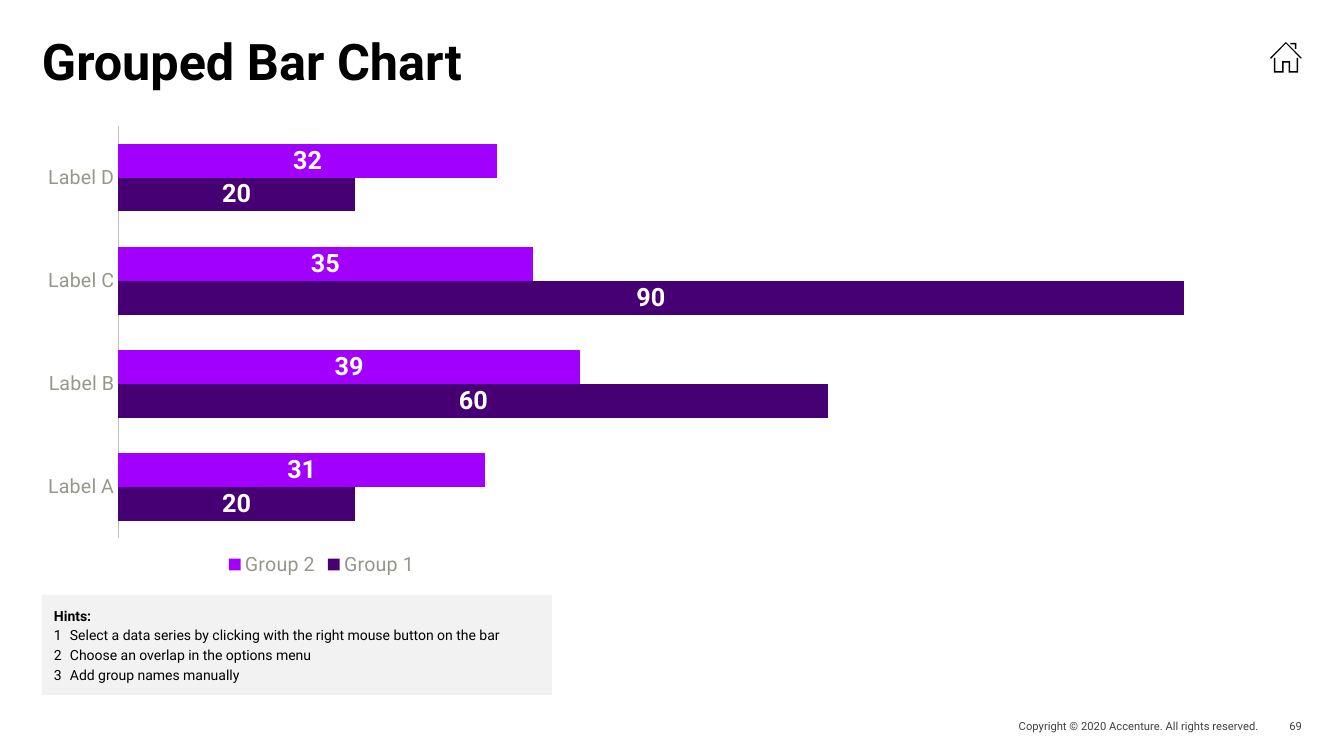
from lxml import etree
from pptx import Presentation
from pptx.chart.data import CategoryChartData
from pptx.dml.color import RGBColor
from pptx.enum.chart import XL_CHART_TYPE, XL_LABEL_POSITION, XL_LEGEND_POSITION, XL_TICK_MARK
from pptx.enum.shapes import MSO_SHAPE
from pptx.enum.text import MSO_ANCHOR, PP_ALIGN
from pptx.oxml.ns import qn
from pptx.util import Pt

BAR_CLUSTERED = XL_CHART_TYPE.BAR_CLUSTERED
LABEL_CENTER = XL_LABEL_POSITION.CENTER
LEGEND_BOTTOM = XL_LEGEND_POSITION.BOTTOM
NO_TICK = XL_TICK_MARK.NONE
RECTANGLE = MSO_SHAPE.RECTANGLE
TOP, MIDDLE, BOTTOM = MSO_ANCHOR.TOP, MSO_ANCHOR.MIDDLE, MSO_ANCHOR.BOTTOM
LEFT, RIGHT = PP_ALIGN.LEFT, PP_ALIGN.RIGHT

EMU_PER_PX = 12192000 / 1344
FONT = "Roboto"
COLORS = {
    "black": "000000",
    "white": "FFFFFF",
    "footer": "404040",
    "panel": "F2F2F2",
    "label": "96968C",
    "axis": "C0C0BA",
    "dark": "460073",
    "bright": "A100FF",
}
CATEGORIES = ["Label A", "Label B", "Label C", "Label D"]
GROUPS = [
    ("Group 1", [20, 60, 90, 20], "dark"),
    ("Group 2", [31, 39, 35, 32], "bright"),
]
HINTS = [
    "Select a data series by clicking with the right mouse button on the bar",
    "Choose an overlap in the options menu",
    "Add group names manually",
]
HOUSE_OUTLINES = [
    [(40, 160), (55, 160), (55, 292), (121, 292), (121, 192), (202, 192), (202, 292), (267, 292),
     (267, 160), (282, 160), (282, 307), (187, 307), (187, 207), (136, 207), (136, 307), (40, 307)],
    [(205, 10), (265, 10), (265, 70), (250, 70), (250, 25), (205, 25)],
    [(160, 0), (320, 160), (308, 167), (160, 15), (12, 167), (0, 160)],
]


def px(length):
    """Turn pixels into EMU."""
    return round(length * EMU_PER_PX)


def color(name):
    """Look up a named colour."""
    return RGBColor.from_string(COLORS[name])


def paint(shape, name):
    """Give a shape a plain fill without line or shadow."""
    shape.shadow.inherit = False
    shape.fill.solid()
    shape.fill.fore_color.rgb = color(name)
    shape.line.fill.background()


def style_font(font, size, name, bold=False):
    """Set the typeface, size, colour and weight of a font."""
    font.name = FONT
    font.size = Pt(size)
    font.bold = bold
    font.color.rgb = color(name)


def hang(para, indent, tab):
    """Give a paragraph a hanging indent and a left tab stop."""
    properties = para._p.get_or_add_pPr()
    properties.set("marL", str(px(indent)))
    properties.set("indent", str(-px(indent)))
    stops = etree.SubElement(properties, qn("a:tabLst"))
    etree.SubElement(stops, qn("a:tab"), pos=str(px(tab)), algn="l")


def write(box, text, *, size, name="black", bold_lines=0, align=LEFT, anchor=TOP,
          insets=(0, 0, 0, 0), line_spacing=None, gap=0, indent=0, tab=0):
    """Write lines of text into a shape with one format."""
    frame = box.text_frame
    frame.word_wrap = True
    frame.vertical_anchor = anchor
    frame.margin_left, frame.margin_top, frame.margin_right, frame.margin_bottom = map(px, insets)
    for index, line in enumerate(text.split("\n")):
        para = frame.add_paragraph() if index else frame.paragraphs[0]
        para.alignment = align
        para.line_spacing = line_spacing
        para.space_before = Pt(gap if index else 0)
        para.space_after = Pt(gap)
        if indent:
            hang(para, indent, tab)
        span = para.add_run()
        span.text = line
        style_font(span.font, size, name, index < bold_lines)


def add_text(page, text, left, top, width, height, **text_format):
    """Add a text box."""
    box = page.shapes.add_textbox(px(left), px(top), px(width), px(height))
    write(box, text, **text_format)


def add_panel(page, text, left, top, width, height, **text_format):
    """Add a filled panel with text."""
    panel = page.shapes.add_shape(RECTANGLE, px(left), px(top), px(width), px(height))
    paint(panel, "panel")
    write(panel, text, **text_format)


def add_house(page, left, top):
    """Draw the house icon from outlines in tenths of a pixel."""
    first, *others = HOUSE_OUTLINES
    builder = page.shapes.build_freeform(*first[0], scale=EMU_PER_PX / 10)
    builder.add_line_segments(first[1:], close=True)
    for outline in others:
        builder.move_to(*outline[0])
        builder.add_line_segments(outline[1:], close=True)
    paint(builder.convert_to_shape(px(left), px(top)), "black")


def place(element, **settings):
    """Give a chart part a manual layout."""
    for old in element.findall(qn("c:layout")):
        element.remove(old)
    layout = etree.Element(qn("c:layout"))
    manual = etree.SubElement(layout, qn("c:manualLayout"))
    for tag, value in settings.items():
        etree.SubElement(manual, qn(f"c:{tag}"), val=str(value))
    return layout


def add_bar_chart(page, left, top, width, height):
    """Add the grouped bar chart."""
    data = CategoryChartData(number_format="0")
    data.categories = CATEGORIES
    for group, values, _ in GROUPS:
        data.add_series(group, values)
    chart = page.shapes.add_chart(
        BAR_CLUSTERED, px(left), px(top), px(width), px(height), data).chart
    chart.has_title = False
    style_font(chart.font, 18, "black", True)

    plot = chart.plots[0]
    plot.gap_width = 106
    plot.overlap = 0
    plot.vary_by_categories = False
    for series, (_, _, name) in zip(plot.series, GROUPS):
        series.format.fill.solid()
        series.format.fill.fore_color.rgb = color(name)
        labels = series.data_labels
        labels.show_value = True
        labels.position = LABEL_CENTER
        labels.number_format = "0"
        labels.number_format_is_linked = False
        style_font(labels.font, 18, "white", True)

    chart.value_axis.minimum_scale = 0
    chart.value_axis.maximum_scale = 100
    chart.value_axis.has_major_gridlines = False
    chart.value_axis.visible = False
    axis = chart.category_axis
    axis.major_tick_mark = axis.minor_tick_mark = NO_TICK
    axis.format.line.color.rgb = color("axis")
    axis.format.line.width = Pt(1)
    style_font(axis.tick_labels.font, 14, "label")

    chart.has_legend = True
    legend = chart.legend
    legend.position = LEGEND_BOTTOM
    legend.include_in_layout = False
    style_font(legend.font, 14, "label")
    legend_layout = place(legend._element, xMode="edge", yMode="edge", x=0.15, y=0.9)
    legend._element.find(qn("c:legendPos")).addnext(legend_layout)
    area = chart._chartSpace.chart.plotArea
    area.insert(0, place(area, layoutTarget="inner", xMode="edge", yMode="edge",
                         x=0.068, y=0.009, w=0.932, h=0.87))


def main():
    """Build and save the slide."""
    deck = Presentation()
    deck.slide_width, deck.slide_height = px(1344), px(756)
    page = deck.slides.add_slide(deck.slide_layouts[6])
    footer = {"size": 8, "name": "footer", "align": RIGHT, "anchor": MIDDLE}
    add_text(page, "Copyright © 2020 Accenture. All rights reserved.", 917, 715, 342, 22, **footer)
    add_text(page, "69", 1260, 715, 42, 23, **footer)
    numbered = [f"{number}\t{hint}" for number, hint in enumerate(HINTS, 1)]
    add_panel(page, "\n".join(["Hints:", *numbered]), 42, 595, 510, 100, size=10, bold_lines=1,
              anchor=BOTTOM, insets=(12, 12, 8, 12), gap=1, indent=16, tab=21)
    add_text(page, "Grouped Bar Chart", 42, 42, 1260, 109, size=36, bold_lines=1, line_spacing=0.8)
    add_house(page, 1270, 42)
    add_bar_chart(page, 32, 122, 1270, 474)
    deck.save("out.pptx")


if __name__ == "__main__":
    main()
